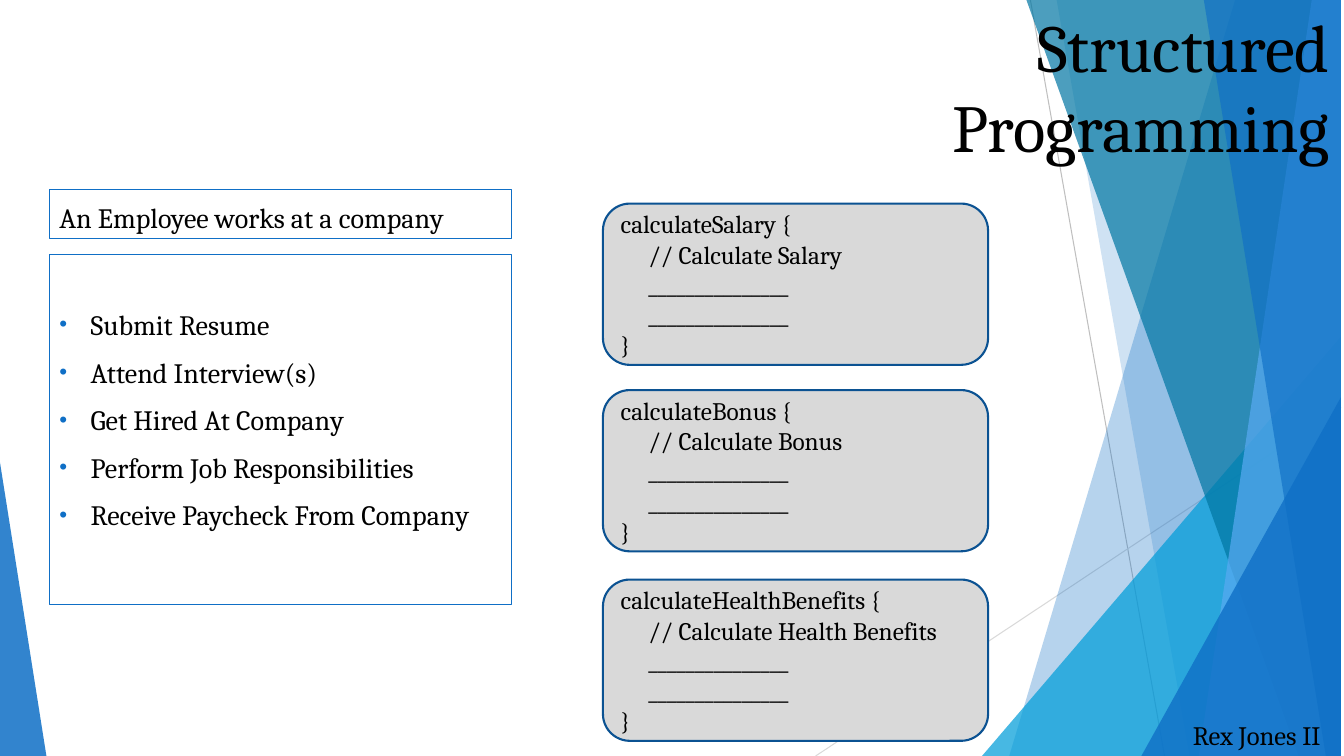
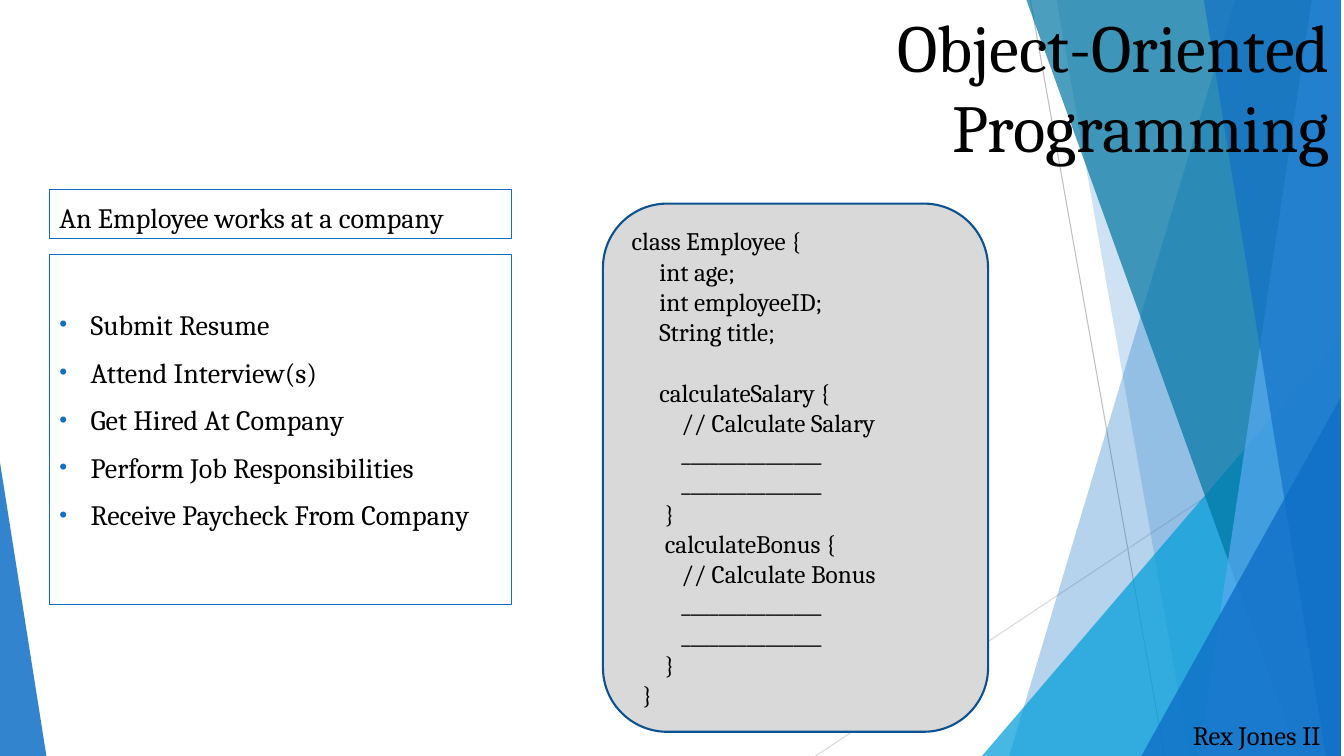
from lxml.etree import SubElement
from pptx import Presentation
from pptx.dml.color import RGBColor
from pptx.enum.shapes import MSO_CONNECTOR as Connector, MSO_SHAPE as Shape
from pptx.enum.text import MSO_ANCHOR as Anchor, MSO_AUTO_SIZE as AutoSize, PP_ALIGN as Align
from pptx.oxml.ns import qn
from pptx.util import Inches, Pt

WIDTH, HEIGHT = 13.33, 7.5
RIGHT = 13.3
FONT = "Cambria"
BLACK = "000000"
BLUE = "0F6FC6"
DARK_BLUE = "0B5292"
SKY = "009DD9"
TEAL = "0076A3"
LIGHT_BLUE = "59AAF2"
CODE_GREY = "D9D9D9"

# Thin lines: colour, start, end
THIN_LINES = [
    ("BFBFBF", (10.22, 0), (11.55, HEIGHT)),
    ("D9D9D9", (RIGHT, 4.04), (8.09, HEIGHT)),
]
# Bands down to the right edge: colour, opacity in percent, top left x, bottom left x
BACK_BANDS = [(BLUE, 30, 12.25, 10.01), (BLUE, 20, 10.48, 11.8)]
FRONT_BANDS = [(TEAL, 70, 10.18, 12.88), (LIGHT_BLUE, 70, 13.01, 11.89), (BLUE, 65, 11.94, 13.15)]

EMPLOYEE_HEADING = "An Employee works at a company"
EMPLOYEE_STEPS = [
    "Submit Resume",
    "Attend Interview(s)",
    "Get Hired At Company",
    "Perform Job Responsibilities",
    "Receive Paycheck From Company",
]
METHOD_BOXES = [
    (2.02, "calculateSalary", "Calculate Salary"),
    (3.87, "calculateBonus", "Calculate Bonus"),
    (5.75, "calculateHealthBenefits", "Calculate Health Benefits"),
]
CLASS_CODE = """class Employee {
     int age;
     int employeeID;
     String title;

     calculateSalary {
         // Calculate Salary
         _______________
         _______________
      }
      calculateBonus {
         // Calculate Bonus
         _______________
         _______________
      }
  }"""


def color(hex_text):
    return RGBColor.from_string(hex_text)


def method_code(name, comment):
    return f"""{name} {{
     // {comment}
     _______________
     _______________
}}"""


class Deck:
    def __init__(self):
        self.presentation = Presentation()
        self.presentation.slide_width = Inches(WIDTH)
        self.presentation.slide_height = Inches(HEIGHT)
        self.slide = None

    def add_slide(self, title):
        layout = self.presentation.slide_layouts.get_by_name("Title Only")
        self.slide = self.presentation.slides.add_slide(layout)
        self.backdrop()
        self.title(title)

    def backdrop(self):
        for line in THIN_LINES:
            self.thin_line(*line)
        for band in BACK_BANDS:
            self.band(*band)
        self.triangle(SKY, 72, 9.74, 3.34, 3.56, 1)
        for band in FRONT_BANDS:
            self.band(*band)
        self.triangle(BLUE, 80, 11.32, 3.94, 1.98, 1)
        self.triangle(BLUE, 85, -0.03, 4.4, 0.49, 0)
        footer = self.text_box(11.63, 7.08, 1.67, 0.42)
        footer.text_frame.word_wrap = False
        self.set_lines(footer, ["Rex Jones II"], 19, Align.CENTER)

    def thin_line(self, line_color, start, end):
        points = [Inches(value) for value in (*start, *end)]
        connector = self.slide.shapes.add_connector(Connector.STRAIGHT, *points)
        self.outline(connector, line_color, 0.75)
        SubElement(connector.element.spPr, qn("a:effectLst"))

    def band(self, fill_color, opacity, top_x, bottom_x):
        corners = [(top_x, 0), (RIGHT, 0), (RIGHT, HEIGHT), (bottom_x, HEIGHT)]
        points = [(Inches(x), Inches(y)) for x, y in corners]
        builder = self.slide.shapes.build_freeform(*points[0])
        builder.add_line_segments(points[1:])
        self.glass(builder.convert_to_shape(), fill_color, opacity)

    def triangle(self, fill_color, opacity, left, top, width, apex):
        """Add a triangle that stands on the bottom edge, apex from 0 (left) to 1 (right)."""
        shape = self.slide.shapes.add_shape(
            Shape.ISOSCELES_TRIANGLE, Inches(left), Inches(top), Inches(width), Inches(HEIGHT - top))
        shape.adjustments[0] = apex
        self.glass(shape, fill_color, opacity)

    def glass(self, shape, fill_color, opacity):
        """Fill the shape see-through, without outline or shadow."""
        shape.shadow.inherit = False
        shape.line.fill.background()
        shape.fill.solid()
        shape.fill.fore_color.rgb = color(fill_color)
        tint = shape.element.spPr.find(qn("a:solidFill")).find(qn("a:srgbClr"))
        SubElement(tint, qn("a:alpha"), val=str(opacity * 1000))

    def outline(self, shape, line_color, points):
        shape.line.color.rgb = color(line_color)
        shape.line.width = Pt(points)

    def set_lines(self, shape, lines, size, align=Align.LEFT):
        frame = shape.text_frame
        frame.text = "\n".join(lines)
        for paragraph in frame.paragraphs:
            paragraph.alignment = align
            for run in paragraph.runs:
                run.font.name = FONT
                run.font.size = Pt(size)
                run.font.color.rgb = color(BLACK)

    def title(self, text):
        title = self.slide.shapes.title
        self.slide.shapes.element.append(title.element)  # in front of the bands
        title.left, title.top = 0, 0
        title.width, title.height = Inches(13.29), Inches(1.74)
        title.text_frame.auto_size = AutoSize.NONE
        title.text_frame.vertical_anchor = Anchor.TOP
        self.set_lines(title, [text], 48, Align.RIGHT)

    def text_box(self, left, top, width, height):
        box = self.slide.shapes.add_textbox(Inches(left), Inches(top), Inches(width), Inches(height))
        box.text_frame.word_wrap = True
        return box

    def heading_box(self, text):
        box = self.text_box(0.49, 1.88, 4.58, 0.49)
        self.outline(box, BLUE, 0.75)
        box.text_frame.vertical_anchor = Anchor.BOTTOM
        self.set_lines(box, [text], 20)

    def bullet_box(self, items):
        box = self.text_box(0.49, 2.52, 4.58, 3.48)
        self.outline(box, BLUE, 0.75)
        box.text_frame.margin_top = Inches(0.53)
        self.set_lines(box, items, 20)
        for index, paragraph in enumerate(box.text_frame.paragraphs):
            self.bullet(paragraph)
            if index:
                paragraph.space_before = Pt(10)

    def bullet(self, paragraph):
        properties = paragraph._p.get_or_add_pPr()
        indent = Inches(0.31)
        properties.set("marL", str(indent))
        properties.set("indent", str(-indent))
        bullet_color = SubElement(properties, qn("a:buClr"))
        SubElement(bullet_color, qn("a:srgbClr"), val=BLUE)
        SubElement(properties, qn("a:buSzPct"), val="80000")
        SubElement(properties, qn("a:buFont"), typeface="Arial")
        SubElement(properties, qn("a:buChar"), char="•")

    def code_box(self, top, height, code):
        """Add a rounded box of code; an empty code line becomes space before the next one."""
        box = self.slide.shapes.add_shape(
            Shape.ROUNDED_RECTANGLE, Inches(5.98), Inches(top), Inches(3.82), Inches(height))
        box.shadow.inherit = False
        box.fill.solid()
        box.fill.fore_color.rgb = color(CODE_GREY)
        self.outline(box, DARK_BLUE, 1.5)
        box.text_frame.vertical_anchor = Anchor.MIDDLE
        lines = code.splitlines()
        self.set_lines(box, [line for line in lines if line], 18)
        after_gap = [not before for before, line in zip([code, *lines], lines) if line]
        for paragraph, gap in zip(box.text_frame.paragraphs, after_gap):
            if gap:
                paragraph.space_before = Pt(21.6)

    def employee_panel(self):
        self.heading_box(EMPLOYEE_HEADING)
        self.bullet_box(EMPLOYEE_STEPS)


def main():
    deck = Deck()

    deck.add_slide("Structured\vProgramming")
    deck.employee_panel()
    for top, name, comment in METHOD_BOXES:
        deck.code_box(top, 1.6, method_code(name, comment))

    deck.add_slide("Object-Oriented\vProgramming")
    deck.employee_panel()
    deck.code_box(2.02, 5.24, CLASS_CODE)

    deck.presentation.save("out.pptx")


if __name__ == "__main__":
    main()
